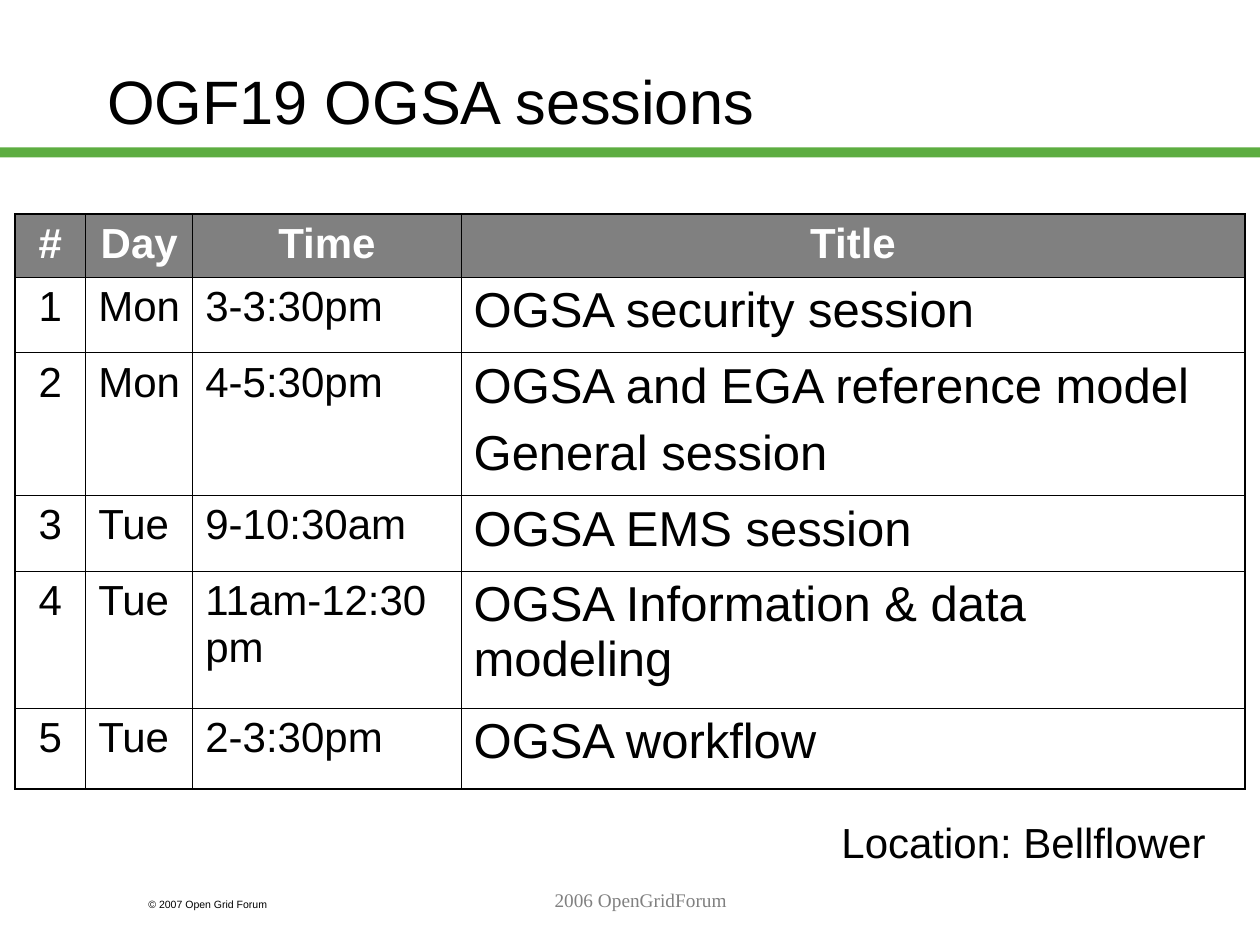
from lxml.etree import SubElement
from pptx import Presentation
from pptx.dml.color import RGBColor
from pptx.enum.shapes import MSO_SHAPE
from pptx.enum.text import MSO_ANCHOR, PP_ALIGN
from pptx.oxml.ns import qn
from pptx.util import Inches, Pt

BLACK = RGBColor(0, 0, 0)
WHITE = RGBColor(255, 255, 255)
GRAY = RGBColor(128, 128, 128)
GREEN = RGBColor(0x5D, 0xAD, 0x41)

TITLE = "OGF19 OGSA sessions"
HEADINGS = ["#", "Day", "Time", "Title"]
SESSIONS = [
    ("Mon", "3-3:30pm", ["OGSA security session"]),
    ("Mon", "4-5:30pm", ["OGSA and EGA reference model", "General session"]),
    ("Tue", "9-10:30am", ["OGSA EMS session"]),
    ("Tue", "11am-12:30pm", ["OGSA Information & data modeling"]),
    ("Tue", "2-3:30pm", ["OGSA workflow"]),
]
COLUMN_WIDTHS = [0.56, 0.85, 2.13, 6.22]
ROW_HEIGHTS = [0.5, 0.6, 1.13, 0.6, 1.09, 0.64]
INNER_LINE, OUTER_LINE = 0.45, 1.08


def write(frame, lines, size, color=BLACK, align=PP_ALIGN.LEFT, bold=False, font="Arial"):
    for index, line in enumerate(lines):
        paragraph = frame.paragraphs[0] if index == 0 else frame.add_paragraph()
        paragraph.alignment = align
        if index:
            paragraph.space_before = Pt(7)
        run = paragraph.add_run()
        run.text = line
        run.font.name = font
        run.font.size = Pt(size)
        run.font.bold = bold
        run.font.color.rgb = color


def add_label(slide, box, text, size, wrap=True, **style):
    frame = slide.shapes.add_textbox(*map(Inches, box)).text_frame
    frame.word_wrap = wrap
    write(frame, [text], size, **style)


def add_borders(cell, on_edge):
    properties = cell._tc.get_or_add_tcPr()
    for side in ("L", "R", "T", "B"):
        width = OUTER_LINE if on_edge[side] else INNER_LINE
        border = SubElement(properties, qn(f"a:ln{side}"), w=str(Pt(width)))
        fill = SubElement(border, qn("a:solidFill"))
        SubElement(fill, qn("a:srgbClr"), val=str(BLACK))


def add_schedule(slide):
    rows = [[[heading] for heading in HEADINGS]]
    for number, (day, time, titles) in enumerate(SESSIONS, 1):
        rows.append([[str(number)], [day], [time], titles])
    last_row, last_column = len(rows) - 1, len(HEADINGS) - 1
    schedule = slide.shapes.add_table(
        len(rows), len(HEADINGS), Inches(0.12), Inches(1.7),
        Inches(sum(COLUMN_WIDTHS)), Inches(sum(ROW_HEIGHTS))).table
    schedule.horz_banding = False
    for column, width in zip(schedule.columns, COLUMN_WIDTHS):
        column.width = Inches(width)
    for row, height in zip(schedule.rows, ROW_HEIGHTS):
        row.height = Inches(height)
    for r, row in enumerate(rows):
        for c, lines in enumerate(row):
            cell = schedule.cell(r, c)
            header = r == 0
            add_borders(cell, {"L": c == 0, "R": c == last_column,
                               "T": header, "B": r == last_row})
            if header:
                cell.fill.solid()
                cell.fill.fore_color.rgb = GRAY
            else:
                cell.fill.background()
            write(cell.text_frame, lines,
                  size=28 if c == last_column and not header else 24,
                  color=WHITE if header else BLACK,
                  align=PP_ALIGN.CENTER if header or c == 0 else PP_ALIGN.LEFT,
                  bold=header)


def main():
    deck = Presentation()
    deck.slide_width, deck.slide_height = Inches(10), Inches(7.5)
    slide = deck.slides.add_slide(deck.slide_layouts[5])

    rule = slide.shapes.add_shape(
        MSO_SHAPE.RECTANGLE, 0, Inches(1.17), deck.slide_width, Inches(0.08))
    rule.shadow.inherit = False
    rule.fill.solid()
    rule.fill.fore_color.rgb = GREEN
    rule.line.fill.background()

    add_label(slide, (1.08, 7.08, 1.5, 0.2), "© 2007 Open Grid Forum", 6)

    title = slide.shapes.title
    title.left, title.top = Inches(0.75), Inches(0.17)
    title.width, title.height = Inches(8.5), Inches(1.25)
    title.text_frame.vertical_anchor = MSO_ANCHOR.MIDDLE
    write(title.text_frame, [TITLE], 35)

    add_schedule(slide)
    add_label(slide, (6.58, 6.43, 3.18, 0.5), "Location: Bellflower ", 24,
              wrap=False, align=PP_ALIGN.RIGHT)
    add_label(slide, (2.17, 7, 5.83, 0.5), "2006 OpenGridForum", 11,
              color=GRAY, align=PP_ALIGN.CENTER, font="Times New Roman")
    deck.save("out.pptx")


if __name__ == "__main__":
    main()
